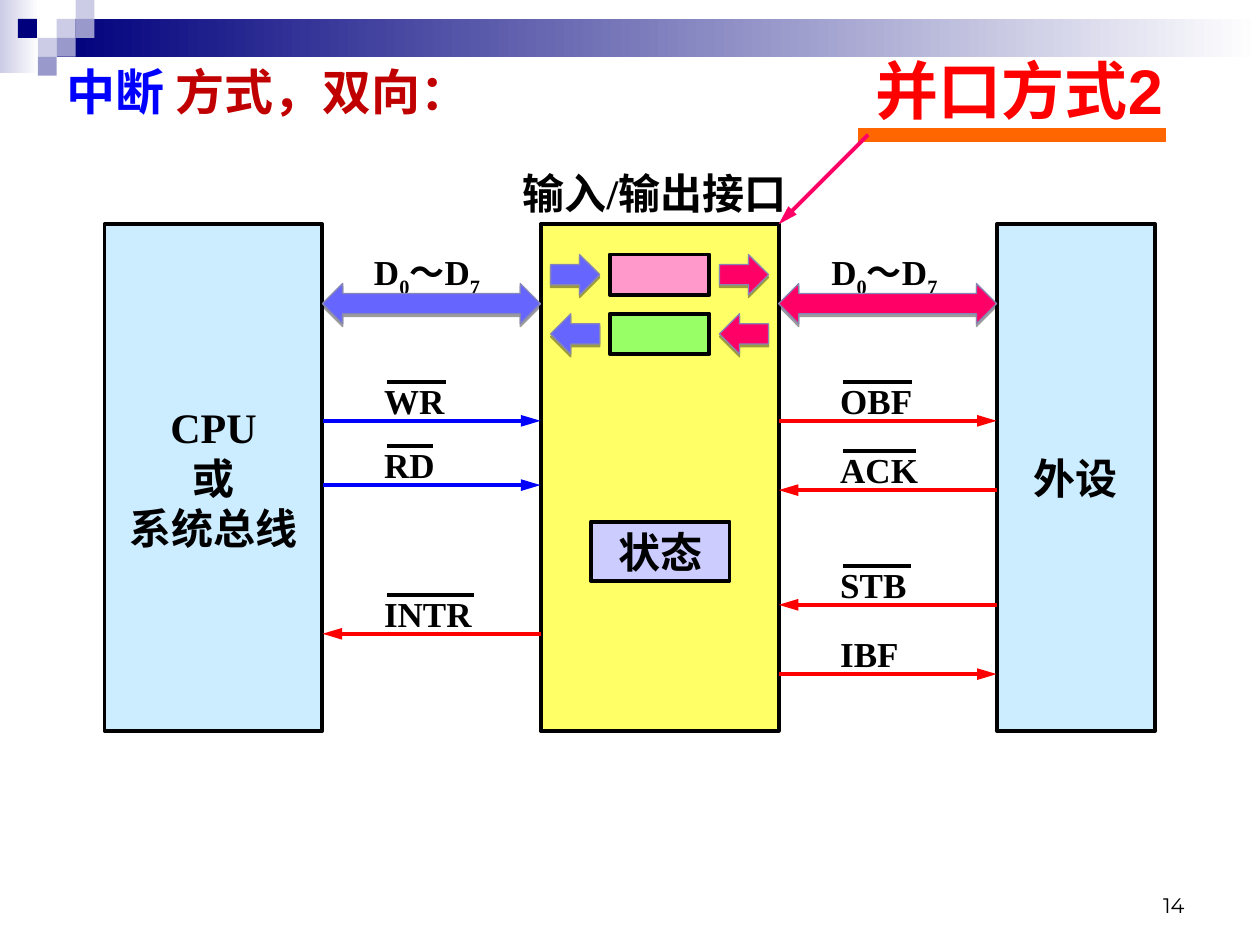
from pptx import Presentation
from pptx.dml.color import RGBColor
from pptx.enum.shapes import MSO_CONNECTOR, MSO_SHAPE
from pptx.enum.text import MSO_ANCHOR, MSO_AUTO_SIZE, PP_ALIGN
from pptx.oxml.ns import qn
from pptx.util import Inches, Pt
from lxml import etree

RECT, RIGHT_ARROW, BOTH_ARROW = (
    MSO_SHAPE.RECTANGLE, MSO_SHAPE.RIGHT_ARROW, MSO_SHAPE.LEFT_RIGHT_ARROW)
STRAIGHT = MSO_CONNECTOR.STRAIGHT
LEFT, CENTER, RIGHT = PP_ALIGN.LEFT, PP_ALIGN.CENTER, PP_ALIGN.RIGHT
TOP, MIDDLE, BOTTOM = MSO_ANCHOR.TOP, MSO_ANCHOR.MIDDLE, MSO_ANCHOR.BOTTOM

THEME = {
    "serif": "Times New Roman", "sans": "Arial", "number": "Montserrat",
    "title": 36, "heading": 28, "block": 24, "signal": 20, "page": 12,
    "stroke": 2.25, "edge": 0.75, "underline": 8,
    "black": "000000", "white": "FFFFFF", "red": "FF0000", "blue": "0000FF",
    "dark_red": "C00000", "orange": "FF6600", "navy": "00007D",
    "lavender": "CCCCE6", "violet": "9999CC", "sky": "CCECFF",
    "yellow": "FFFF66", "pink": "FF99CC", "green": "99FF66",
    "status": "CCCCFF", "cpu_data": "6666FF", "device_data": "FF0066",
    "arrow_edge": "8686B6",
}

# Blocks: left, right, fill, lines of text
BLOCK_TOP, BLOCK_HEIGHT = 1.78, 4.02
BLOCKS = [
    (0.83, 2.56, "sky", ["CPU", "或", "系统总线"]),
    (4.29, 6.18, "yellow", []),
    (7.91, 9.17, "sky", ["外设"]),
]
# Buses between the blocks: left, right, label offset, signal offset, colour
BUSES = {
    "cpu": (2.56, 4.29, 0.31, 0.39, "cpu_data"),
    "device": (6.18, 7.91, 0.32, 0.39, "device_data"),
}
DATA_LABEL = [("D", 0), ("0", -25), ("～D", 0), ("7", -25)]
# Signals: bus, name, height of its line, points right, colour, overbar width
SIGNALS = [
    ("cpu", "WR", 3.34, True, "blue", 0.47),
    ("cpu", "RD", 3.85, True, "blue", 0.37),
    ("cpu", "INTR", 5.03, False, "red", 0.69),
    ("device", "OBF", 3.34, True, "red", 0.55),
    ("device", "ACK", 3.89, False, "red", 0.58),
    ("device", "STB", 4.8, False, "red", 0.54),
    ("device", "IBF", 5.35, True, "red", 0),
]
# Buffers: top, fill, data flows left
BUFFERS = [(2.02, "pink", False), (2.49, "green", True)]
# Header squares: column, row, colour
UNIT = 0.15
SQUARES = [
    (3, 1, "lavender"), (4, 0, "lavender"), (4, 1, "violet"), (2, 2, "lavender"),
    (0.95, 1, "navy"), (3, 2, "violet"), (2, 3, "violet"),
]


def color(name):
    return RGBColor.from_string(THEME[name])


def write(shape, paragraphs, size, font="serif", bold=True, align=LEFT, anchor=TOP):
    """Fill a shape with paragraphs, each a list of (text, colour, baseline)."""
    frame = shape.text_frame
    settings = {"word_wrap": True, "auto_size": MSO_AUTO_SIZE.NONE,
                "vertical_anchor": anchor,
                "margin_left": Inches(0.1), "margin_right": Inches(0.1),
                "margin_top": Inches(0.05), "margin_bottom": Inches(0.05)}
    for key, value in settings.items():
        setattr(frame, key, value)
    for index, runs in enumerate(paragraphs):
        paragraph = frame.add_paragraph() if index else frame.paragraphs[0]
        paragraph.alignment = align
        for text, ink, baseline in runs:
            run = paragraph.add_run()
            run.text = text
            run.font.name, run.font.size = THEME[font], Pt(THEME[size])
            run.font.bold, run.font.color.rgb = bold, color(ink)
            if baseline:
                run._r.get_or_add_rPr().set("baseline", str(baseline * 1000))


def add_label(slide, box, runs, size, **style):
    write(slide.shapes.add_textbox(*map(Inches, box)), [runs], size, **style)


def add_block(slide, kind, box, fill, edge=None, width="stroke"):
    """Add a shape; a pair of colours as fill gives a left-to-right gradient."""
    shape = slide.shapes.add_shape(kind, *map(Inches, box))
    shape.shadow.inherit = False
    if isinstance(fill, tuple):
        shape.fill.gradient()
        shape.fill.gradient_angle = 0
        for stop, position, name in zip(shape.fill.gradient_stops, (0, 1), fill):
            stop.position, stop.color.rgb = position, color(name)
    else:
        shape.fill.solid()
        shape.fill.fore_color.rgb = color(fill)
    if edge:
        shape.line.color.rgb, shape.line.width = color(edge), Pt(THEME[width])
    else:
        shape.line.fill.background()
    return shape


def add_data_arrow(slide, kind, box, fill, flip=False):
    """Add a block arrow with a hard shadow just below it."""
    arrow = add_block(slide, kind, box, fill, "arrow_edge", "edge")
    properties = arrow._element.spPr
    if flip:
        properties.find(qn("a:xfrm")).set("flipH", "1")
    shadow = etree.SubElement(
        properties.find(qn("a:effectLst")), qn("a:outerShdw"),
        blurRad="0", dist=str(Pt(1.6)), dir="5400000", rotWithShape="0")
    ink = etree.SubElement(shadow, qn("a:srgbClr"), val=THEME["black"])
    etree.SubElement(ink, qn("a:alpha"), val="38000")


def add_line(slide, start, end, ink, width="stroke", arrow=False):
    line = slide.shapes.add_connector(STRAIGHT, *map(Inches, start + end))
    line.line.color.rgb, line.line.width = color(ink), Pt(THEME[width])
    if arrow:
        etree.SubElement(line.line._get_or_add_ln(), qn("a:tailEnd"),
                         type="triangle", w="med", len="lg")
    etree.SubElement(line._element.spPr, qn("a:effectLst"))


def draw_header(slide):
    add_block(slide, RECT, (0, 0, 0.31, 0.58), ("lavender", "white"))
    add_block(slide, RECT, (3 * UNIT, UNIT, 10 - 3 * UNIT, 2 * UNIT), ("navy", "white"))
    for column, row, fill in SQUARES:
        add_block(slide, RECT, (column * UNIT, row * UNIT, UNIT, UNIT), fill)
    title = slide.shapes.title
    title.left, title.top, title.width, title.height = map(Inches, (5.71, 0.36, 3.62, 0.7))
    write(title, [[("并口方式2", "red", 0)]], "title", font="sans", align=RIGHT)
    add_label(slide, (0.43, 0.44, 4.96, 0.57),
              [("中断", "blue", 0), (" 方式，双向：", "dark_red", 0)], "heading")


def draw_blocks(slide):
    for left, right, fill, lines in BLOCKS:
        block = add_block(slide, RECT, (left, BLOCK_TOP, right - left, BLOCK_HEIGHT),
                          fill, "black")
        if lines:
            write(block, [[(text, "black", 0)] for text in lines], "block",
                  align=CENTER, anchor=MIDDLE)
    add_label(slide, (3.74, 1.28, 2.91, 0.5), [("输入/输出接口", "black", 0)],
              "block", align=CENTER)
    status = add_block(slide, RECT, (4.69, 4.14, 1.1, 0.47), "status", "black")
    write(status, [[("状态", "black", 0)]], "block", align=CENTER, anchor=MIDDLE)
    for top, fill, flows_left in BUFFERS:
        add_block(slide, RECT, (4.84, top, 0.79, 0.32), fill, "black")
        for left, ink in ((4.37, "cpu_data"), (5.71, "device_data")):
            add_data_arrow(slide, RIGHT_ARROW, (left, top, 0.39, 0.32), ink, flows_left)


def draw_buses(slide):
    for left, right, label_offset, _, ink in BUSES.values():
        add_label(slide, (left + label_offset, 1.94, 1.34, 0.48),
                  [(text, "black", baseline) for text, baseline in DATA_LABEL], "signal")
        add_data_arrow(slide, BOTH_ARROW, (left, 2.25, right - left, 0.32), ink)
    for bus, name, y, points_right, ink, bar in SIGNALS:
        left, right, _, offset, _ = BUSES[bus]
        start, end = (left, right) if points_right else (right, left)
        add_line(slide, (start, y), (end, y), ink, arrow=True)
        label_left = left + offset
        add_label(slide, (label_left, y - 0.38, 1.26, 0.44), [(name, "black", 0)], "signal")
        if bar:
            bar_left, bar_y = label_left + 0.12, y - 0.31
            add_line(slide, (bar_left, bar_y), (bar_left + bar, bar_y), "black")


def main():
    deck = Presentation()
    deck.slide_width, deck.slide_height = Inches(10), Inches(7.5)
    slide = deck.slides.add_slide(deck.slide_layouts[5])
    draw_header(slide)
    draw_blocks(slide)
    draw_buses(slide)
    add_line(slide, (6.81, 1.07), (9.25, 1.07), "orange", "underline")
    add_line(slide, (6.89, 1.07), (6.18, BLOCK_TOP), "device_data", arrow=True)
    add_label(slide, (7.17, 6.83, 2.33, 0.5), [("14", "black", 0)], "page",
              font="number", bold=False, align=RIGHT, anchor=BOTTOM)
    deck.save("out.pptx")


if __name__ == "__main__":
    main()
